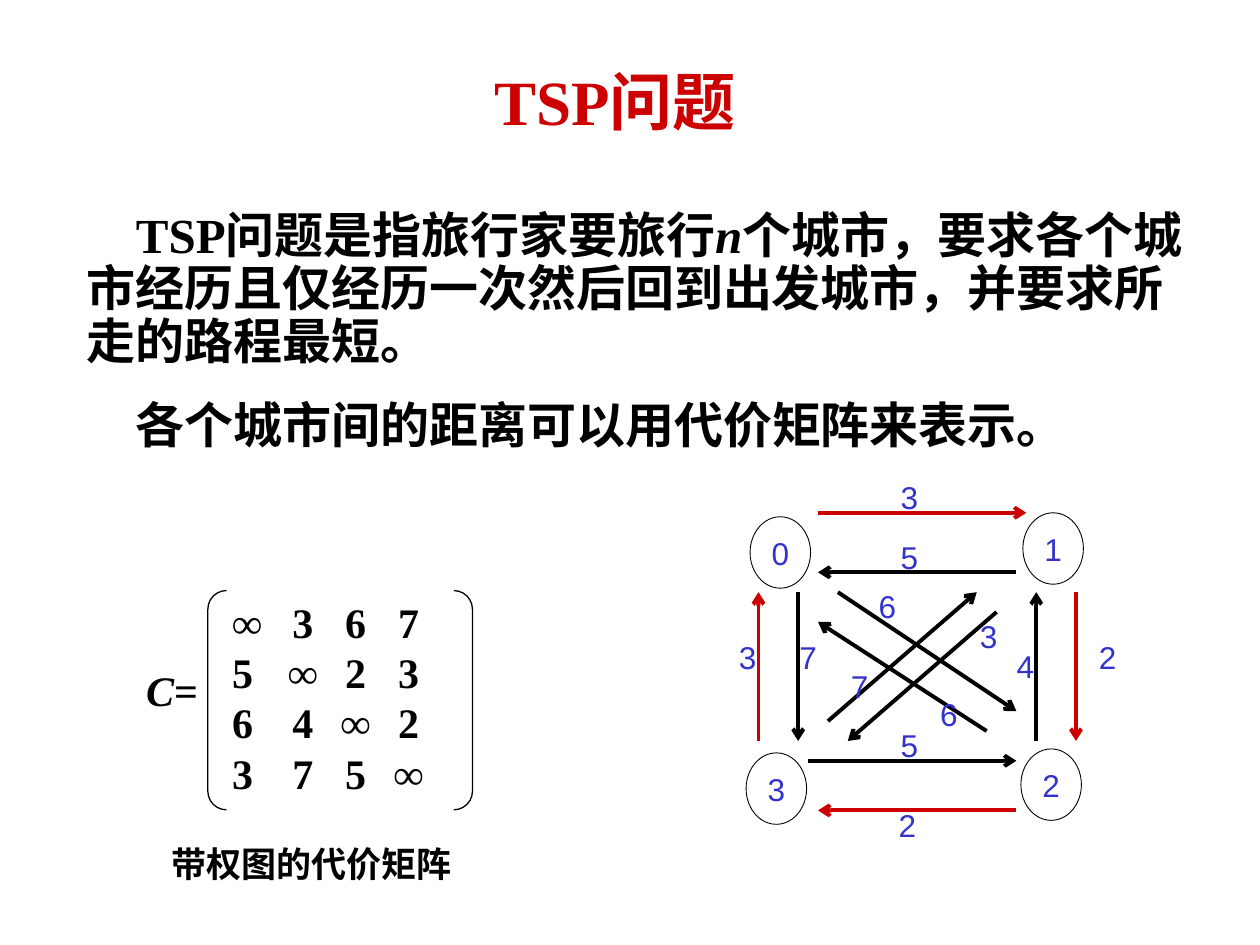
from dataclasses import dataclass

from pptx import Presentation
from pptx.dml.color import RGBColor
from pptx.enum.shapes import MSO_CONNECTOR, MSO_SHAPE
from pptx.enum.text import MSO_ANCHOR, MSO_AUTO_SIZE, PP_ALIGN
from pptx.oxml.ns import qn
from pptx.util import Cm, Inches, Pt
from lxml.etree import SubElement


@dataclass(frozen=True)
class Theme:
    serif: str = "Times New Roman"
    sans: str = "Arial"
    chinese: str = "Noto Sans CJK SC"
    black: RGBColor = RGBColor(0x00, 0x00, 0x00)
    red: RGBColor = RGBColor(0xCC, 0x00, 0x00)
    blue: RGBColor = RGBColor(0x33, 0x33, 0xCC)
    title: int = 36
    body: int = 28
    matrix: int = 24
    caption: int = 20
    graph: int = 18


@dataclass(frozen=True)
class Area:
    left: float
    top: float
    width: float
    height: float


@dataclass(frozen=True)
class City:
    name: str
    center: tuple[float, float]


@dataclass(frozen=True)
class Road:
    start: tuple[float, float]
    end: tuple[float, float]
    cost: str
    label: tuple[float, float]
    in_tour: bool = False


THEME = Theme()
SLIDE_WIDTH, SLIDE_HEIGHT = Inches(10), Inches(7.5)
CELL = Cm(0.2)
GRAPH_LEFT, GRAPH_TOP = Inches(6.02), Inches(4.07)
CITY_SIZE = (6.1, 7.2)
LABEL_SIZE = (4.3, 5.1)

TITLE_AREA = Area(0.163, 0.059, 0.65, 0.093)
BODY_AREA = Area(0.059, 0.217, 0.892, 0.271)
NAME_AREA = Area(0.116, 0.703, 0.05, 0.05)
MATRIX_AREA = Area(0.165, 0.625, 0.21, 0.232)
CAPTION_AREA = Area(0.136, 0.892, 0.252, 0.049)

BODY = [
    [("TSP问题是指旅行家要旅行", False), ("n", True),
     ("个城市，要求各个城市经历且仅经历一次然后回到出发城市，并要求所走的路程最短。", False)],
    [("各个城市间的距离可以用代价矩阵来表示。", False)],
]
COSTS = ["∞367", "5∞23", "64∞2", "375∞"]
COLUMN_STOPS = [0.56 + 0.42 * column for column in range(3)]

CITIES = [
    City("0", (2.2, 4)),
    City("1", (29.7, 3.6)),
    City("3", (1.8, 27.8)),
    City("2", (29.5, 27.4)),
]
ROADS = [
    Road((6, 0), (27, 0), "3", (15.2, -1.6), True),
    Road((26, 6), (6, 6), "5", (15.2, 4.4)),
    Road((5, 25), (26, 25), "5", (15.2, 23.4)),
    Road((26, 30), (6, 30), "2", (15, 31.5), True),
    Road((0, 23), (0, 8), "3", (-1.1, 14.5), True),
    Road((4, 8), (4, 23), "7", (5, 14.5)),
    Road((28, 23), (28, 8), "4", (26.9, 15.4)),
    Road((32, 8), (32, 23), "2", (35.2, 14.5), True),
    Road((24, 10), (9, 23), "3", (23.2, 12.4)),
    Road((7, 21), (22, 8), "7", (10.2, 17.4)),
    Road((8, 8), (26, 20), "6", (13, 9.4)),
    Road((23, 22), (6, 11), "6", (19.2, 20.3)),
]


def bounds(area: Area) -> tuple[int, int, int, int]:
    return (int(area.left * SLIDE_WIDTH), int(area.top * SLIDE_HEIGHT),
            int(area.width * SLIDE_WIDTH), int(area.height * SLIDE_HEIGHT))


def point(place: tuple[float, float]) -> tuple[int, int]:
    return int(GRAPH_LEFT + place[0] * CELL), int(GRAPH_TOP + place[1] * CELL)


def centered(center: tuple[float, float], size: tuple[float, float]) -> tuple[int, int, int, int]:
    left, top = point((center[0] - size[0] / 2, center[1] - size[1] / 2))
    return left, top, int(size[0] * CELL), int(size[1] * CELL)


def style(span, size: int, color: RGBColor, face: str = THEME.serif,
          bold: bool = True, italic: bool = False) -> None:
    span.font.name, span.font.size = face, Pt(size)
    span.font.bold, span.font.italic = bold, italic
    span.font.color.rgb = color
    latin = span.font._element.find(qn("a:latin"))
    east_asian = latin.makeelement(qn("a:ea"), {"typeface": THEME.chinese})
    latin.addnext(east_asian)


def add_span(para, text: str, size: int, color: RGBColor, **options) -> None:
    span = para.add_run()
    span.text = text
    style(span, size, color, **options)


def set_margins(frame, horizontal: float = 0, vertical: float = 0) -> None:
    frame.margin_left = frame.margin_right = Inches(horizontal)
    frame.margin_top = frame.margin_bottom = Inches(vertical)


def place_placeholder(box, area: Area):
    box.left, box.top, box.width, box.height = bounds(area)
    frame = box.text_frame
    frame.auto_size = MSO_AUTO_SIZE.NONE
    frame.vertical_anchor = MSO_ANCHOR.TOP
    frame.word_wrap = True
    set_margins(frame, 0.1, 0.05)
    return frame


def fill_title(box) -> None:
    para = place_placeholder(box, TITLE_AREA).paragraphs[0]
    para.alignment = PP_ALIGN.CENTER
    add_span(para, "TSP", THEME.title, THEME.red)
    add_span(para, "问题", THEME.title, THEME.red, face=THEME.chinese)


def fill_body(box) -> None:
    frame = place_placeholder(box, BODY_AREA)
    for index, spans in enumerate(BODY):
        para = frame.add_paragraph() if index else frame.paragraphs[0]
        para.line_spacing, para.space_before = 0.9, Pt(17.5)
        properties = para._p.get_or_add_pPr()
        properties.set("marL", "0")
        properties.set("indent", str(Pt(THEME.body)))
        SubElement(properties, qn("a:buNone"))
        for text, italic in spans:
            add_span(para, text, THEME.body, THEME.black, italic=italic)


def add_text(page, place: tuple[int, int, int, int]):
    frame = page.shapes.add_textbox(*place).text_frame
    set_margins(frame)
    frame.word_wrap = True
    return frame


def add_outline(page, kind: MSO_SHAPE, place: tuple[int, int, int, int], width: float):
    shape = page.shapes.add_shape(kind, *place)
    shape.shadow.inherit = False
    shape.fill.background()
    shape.line.color.rgb = THEME.black
    shape.line.width = Pt(width)
    set_margins(shape.text_frame)
    return shape


def add_matrix(page) -> None:
    name = add_text(page, bounds(NAME_AREA)).paragraphs[0]
    add_span(name, "C", THEME.matrix, THEME.black, italic=True)
    add_span(name, "=", THEME.matrix, THEME.black)
    bracket = add_outline(page, MSO_SHAPE.DOUBLE_BRACKET, bounds(MATRIX_AREA), 0.75)
    bracket.adjustments[0] = 0.085
    frame = bracket.text_frame
    frame.margin_left = Inches(0.15)
    frame.vertical_anchor = MSO_ANCHOR.TOP
    frame.text = "\n".join("\t".join(row) for row in COSTS)
    for para in frame.paragraphs:
        para.alignment = PP_ALIGN.LEFT
        stops = SubElement(para._p.get_or_add_pPr(), qn("a:tabLst"))
        for stop in COLUMN_STOPS:
            SubElement(stops, qn("a:tab"), pos=str(Inches(stop)), algn="ctr")
        for span in para.runs:
            style(span, THEME.matrix, THEME.black)
    caption = add_text(page, bounds(CAPTION_AREA)).paragraphs[0]
    add_span(caption, "带权图的代价矩阵", THEME.caption, THEME.black)


def write_number(frame, text: str) -> None:
    frame.vertical_anchor = MSO_ANCHOR.MIDDLE
    frame.word_wrap = False
    para = frame.paragraphs[0]
    para.alignment = PP_ALIGN.CENTER
    add_span(para, text, THEME.graph, THEME.blue, face=THEME.sans, bold=False)


def add_city(page, city: City) -> None:
    circle = add_outline(page, MSO_SHAPE.OVAL, centered(city.center, CITY_SIZE), 0.5)
    write_number(circle.text_frame, city.name)


def add_road(page, road: Road) -> None:
    arrow = page.shapes.add_connector(MSO_CONNECTOR.STRAIGHT, *point(road.start), *point(road.end))
    arrow.line.color.rgb = THEME.red if road.in_tour else THEME.black
    arrow.line.width = Pt(2.25)
    SubElement(arrow.line._get_or_add_ln(), qn("a:tailEnd"), type="arrow")
    SubElement(arrow._element.spPr, qn("a:effectLst"))
    write_number(add_text(page, centered(road.label, LABEL_SIZE)), road.cost)


def main() -> None:
    deck = Presentation()
    deck.slide_width, deck.slide_height = SLIDE_WIDTH, SLIDE_HEIGHT
    page = deck.slides.add_slide(deck.slide_layouts[1])
    fill_title(page.shapes.title)
    fill_body(page.placeholders[1])
    add_matrix(page)
    for city in CITIES:
        add_city(page, city)
    for road in ROADS:
        add_road(page, road)
    deck.save("out.pptx")


if __name__ == "__main__":
    main()
